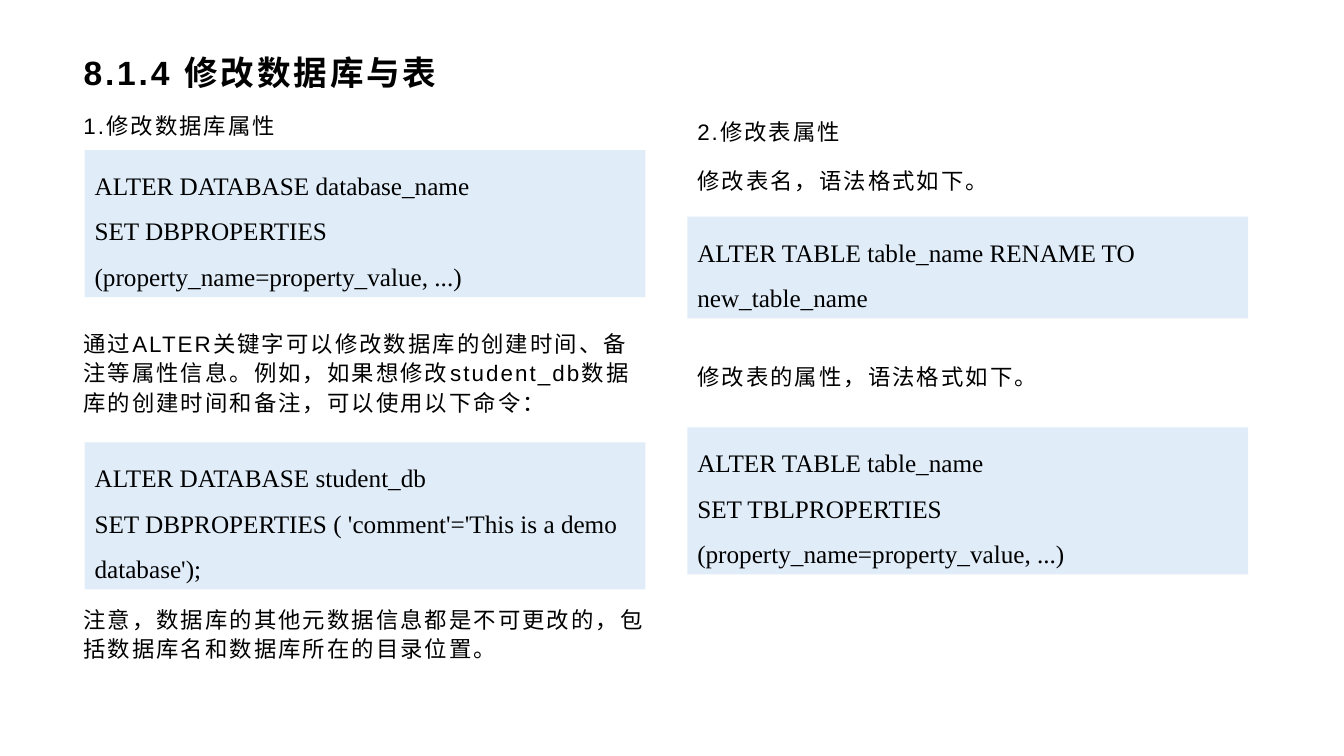
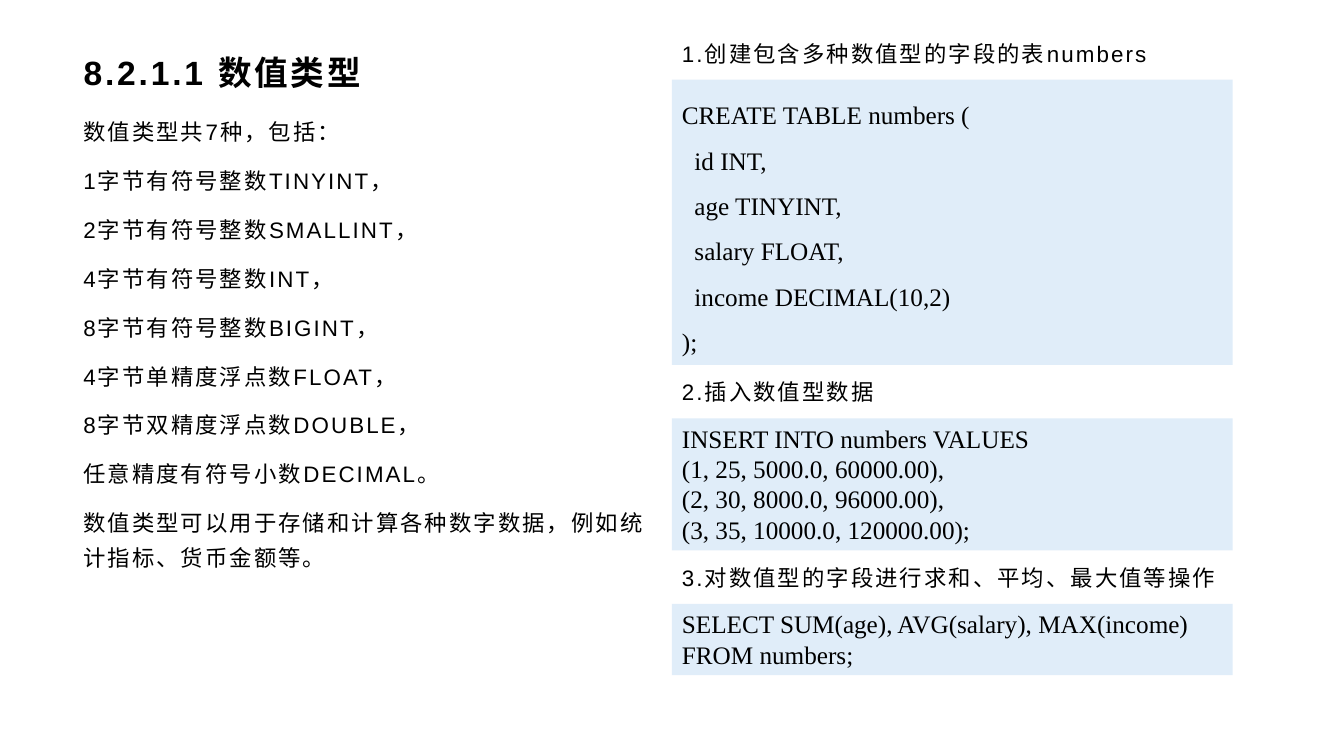
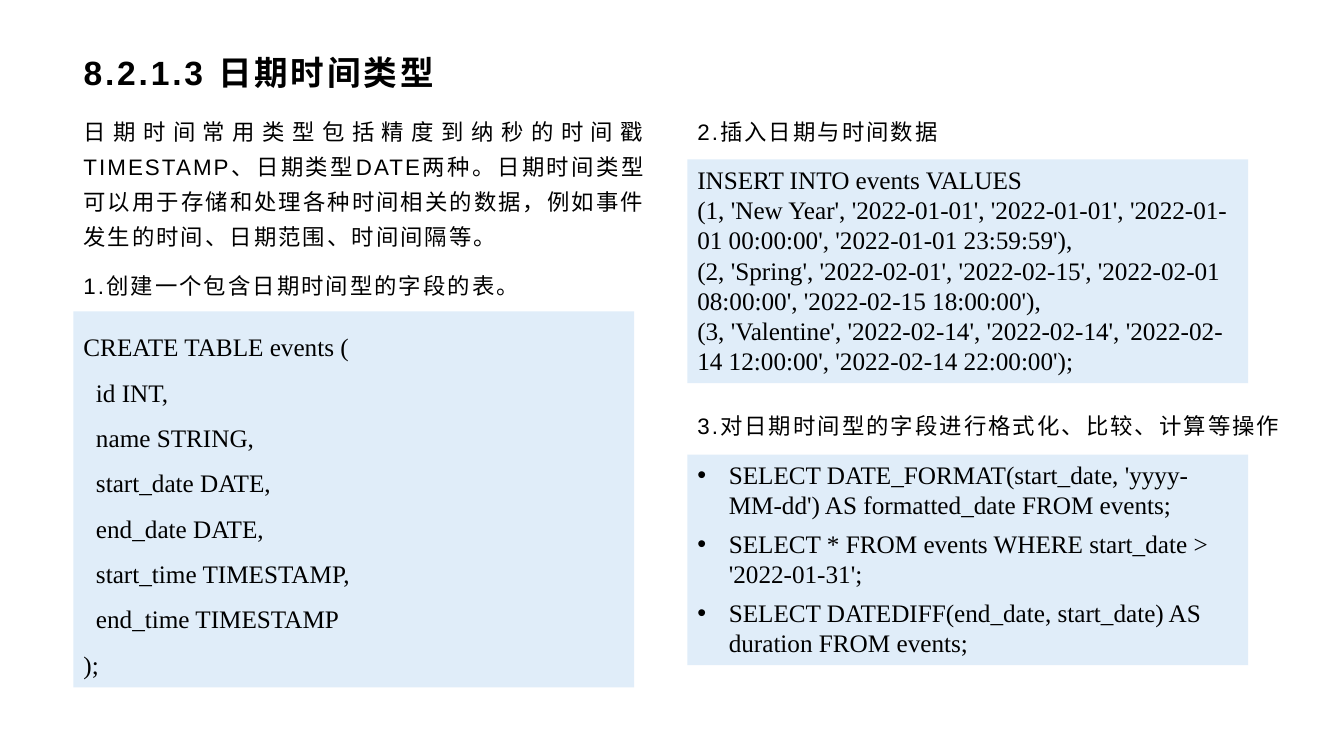
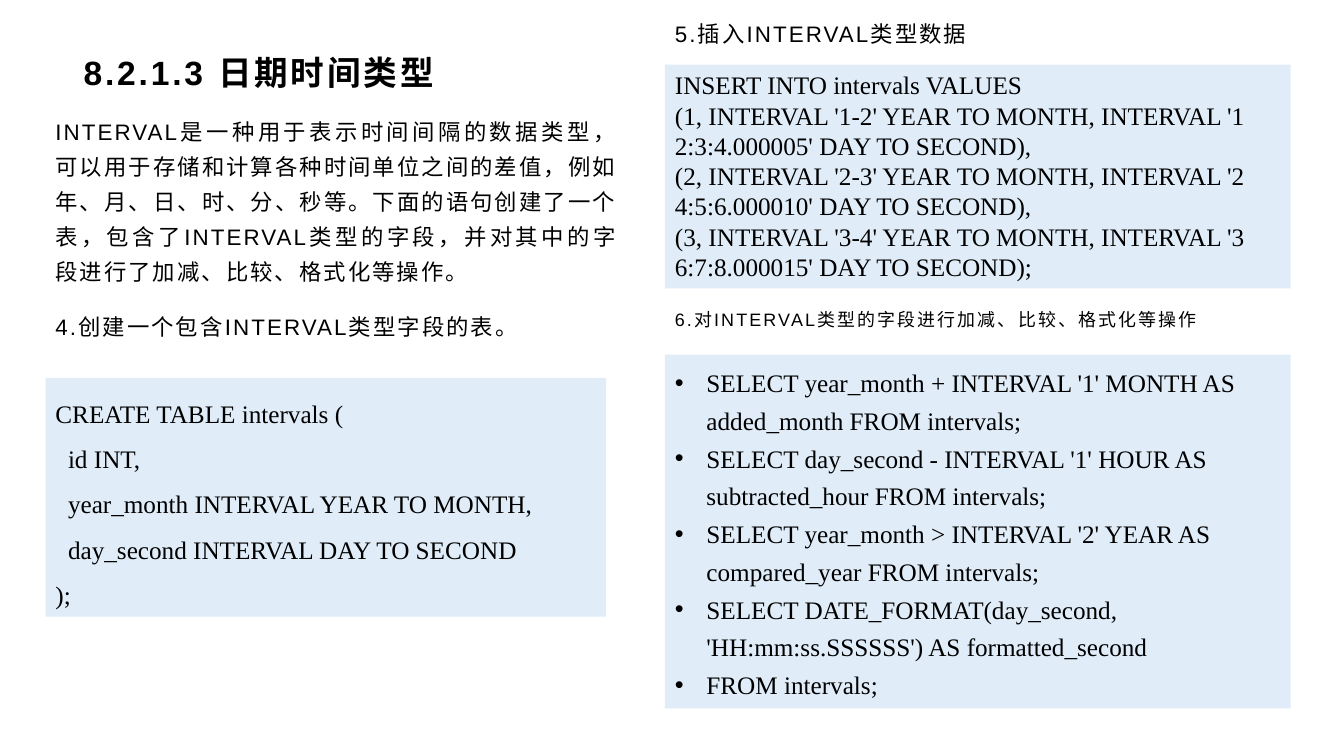
from dataclasses import dataclass

from lxml import etree
from pptx import Presentation
from pptx.dml.color import RGBColor
from pptx.enum.shapes import MSO_SHAPE
from pptx.enum.text import MSO_ANCHOR, MSO_AUTO_SIZE, PP_ALIGN
from pptx.oxml.ns import qn
from pptx.util import Pt

RECT = MSO_SHAPE.RECTANGLE
TOP, MIDDLE = MSO_ANCHOR.TOP, MSO_ANCHOR.MIDDLE
FIXED, GROW = MSO_AUTO_SIZE.NONE, MSO_AUTO_SIZE.SHAPE_TO_FIT_TEXT
LEFT, JUSTIFY = PP_ALIGN.LEFT, PP_ALIGN.JUSTIFY

COLORS = {"ink": "000000", "code": "E0EDF9", "page": "FFFFFF"}
SANS, SERIF = "Arial", "Times New Roman"

# Shared grid, in points
EDGE, HALF = 52.5, 491
HEAD_TOP, HEAD_WIDE, HEAD_HIGH = 34.5, 854.5, 34.5
BODY_TOP, BODY_HIGH = 75, 424
NOTE_WIDE, CODE_WIDE = 416, 400.5
INDENT = 22.5


@dataclass
class Note:
    """Plain text; gaps holds the space before each paragraph."""
    left: float
    top: float
    high: float
    text: str
    wide: float = NOTE_WIDE
    ratio: float = 1.3
    size: float = 16
    align: PP_ALIGN = LEFT
    gaps: tuple[float, ...] = ()


@dataclass
class Code:
    """Commands on a tinted panel."""
    left: float
    top: float
    high: float
    text: str
    wide: float = CODE_WIDE
    ratio: float = 1.5
    after: float = 0
    bullet: bool = False


@dataclass
class Page:
    title: str
    blocks: list[Note | Code]


PAGES = [
    Page("8.1.4 修改数据库与表", [
        Note(EDGE, BODY_TOP, BODY_HIGH,
             "1.修改数据库属性\n"
             "通过ALTER关键字可以修改数据库的创建时间、备注等属性信息。例如，如果想修改"
             "student_db数据库的创建时间和备注，可以使用以下命令：\n"
             "注意，数据库的其他元数据信息都是不可更改的，包括数据库名和数据库所在的目录位置。",
             ratio=1.1, gaps=(0, 124, 124)),
        Note(HALF, BODY_TOP, BODY_HIGH,
             "2.修改表属性\n修改表名，语法格式如下。\n修改表的属性，语法格式如下。",
             gaps=(0, 0, 105)),
        Code(60.5, 316, 105,
             "ALTER DATABASE student_db\n"
             "SET DBPROPERTIES ( 'comment'='This is a demo database');"),
        Code(60.5, 107.2, 105,
             "ALTER DATABASE database_name\n"
             "SET DBPROPERTIES (property_name=property_value, ...)"),
        Code(HALF, 154.8, 72.7, "ALTER TABLE table_name RENAME TO new_table_name"),
        Code(HALF, 305.3, 105,
             "ALTER TABLE table_name\n"
             "SET TBLPROPERTIES (property_name=property_value, ...)"),
    ]),
    Page("8.2.1.1 数值类型", [
        Note(EDGE, BODY_TOP, BODY_HIGH,
             "数值类型共7种，包括：\n"
             "1字节有符号整数TINYINT，\n"
             "2字节有符号整数SMALLINT，\n"
             "4字节有符号整数INT，\n"
             "8字节有符号整数BIGINT，\n"
             "4字节单精度浮点数FLOAT，\n"
             "8字节双精度浮点数DOUBLE，\n"
             "任意精度有符号小数DECIMAL。\n"
             "数值类型可以用于存储和计算各种数字数据，例如统计指标、货币金额等。"),
        Note(480, 19.4, 36.7, "1.创建包含多种数值型的字段的表numbers"),
        Note(480, 260.6, 36.7, "2.插入数值型数据"),
        Note(480, 393.8, 36.7, "3.对数值型的字段进行求和、平均、最大值等操作"),
        Code(480, 56.9, 203.8,
             "CREATE TABLE numbers (\n"
             "  id INT,\n"
             "  age TINYINT,\n"
             "  salary FLOAT,\n"
             "  income DECIMAL(10,2)\n"
             ");"),
        Code(480, 298.8, 94.3,
             "INSERT INTO numbers VALUES\n"
             "(1, 25, 5000.0, 60000.00),\n"
             "(2, 30, 8000.0, 96000.00),\n"
             "(3, 35, 10000.0, 120000.00);", ratio=1),
        Code(480, 431.3, 51,
             "SELECT SUM(age), AVG(salary), MAX(income) FROM numbers;", ratio=1),
    ]),
    Page("8.2.1.3 日期时间类型", [
        Note(EDGE, BODY_TOP, BODY_HIGH,
             "日期时间常用类型包括精度到纳秒的时间戳TIMESTAMP、日期类型DATE两种。"
             "日期时间类型可以用于存储和处理各种时间相关的数据，"
             "例如事件发生的时间、日期范围、时间间隔等。\n"
             "1.创建一个包含日期时间型的字段的表。", align=JUSTIFY),
        Note(HALF, BODY_TOP, BODY_HIGH,
             "2.插入日期与时间数据\n3.对日期时间型的字段进行格式化、比较、计算等操作",
             wide=456, gaps=(0, 175)),
        Code(EDGE, 222.5, 268.6,
             "CREATE TABLE events (\n"
             "  id INT,\n"
             "  name STRING,\n"
             "  start_date DATE,\n"
             "  end_date DATE,\n"
             "  start_time TIMESTAMP,\n"
             "  end_time TIMESTAMP\n"
             ");"),
        Code(HALF, 113.8, 159.8,
             "INSERT INTO events VALUES\n"
             "(1, 'New Year', '2022-01-01', '2022-01-01', "
             "'2022-01-01 00:00:00', '2022-01-01 23:59:59'),\n"
             "(2, 'Spring', '2022-02-01', '2022-02-15', "
             "'2022-02-01 08:00:00', '2022-02-15 18:00:00'),\n"
             "(3, 'Valentine', '2022-02-14', '2022-02-14', "
             "'2022-02-14 12:00:00', '2022-02-14 22:00:00');", ratio=1),
        Code(HALF, 324.7, 150.5,
             "SELECT DATE_FORMAT(start_date, 'yyyy-MM-dd') AS formatted_date FROM events;\n"
             "SELECT * FROM events WHERE start_date > '2022-01-31';\n"
             "SELECT DATEDIFF(end_date, start_date) AS duration FROM events;",
             ratio=1, after=6, bullet=True),
    ]),
    Page("8.2.1.3 日期时间类型", [
        Note(32.5, BODY_TOP, BODY_HIGH,
             "INTERVAL是一种用于表示时间间隔的数据类型，可以用于存储和计算各种时间单位之间的差值，"
             "例如年、月、日、时、分、秒等。下面的语句创建了一个表，包含了INTERVAL类型的字段，"
             "并对其中的字段进行了加减、比较、格式化等操作。", align=JUSTIFY),
        Note(475, 5, 35.3, "5.插入INTERVAL类型数据"),
        Note(32.5, 218.2, 29.5, "4.创建一个包含INTERVAL类型字段的表。",
             wide=CODE_WIDE, ratio=1.1),
        Code(32.5, 270, 170.6,
             "CREATE TABLE intervals (\n"
             "  id INT,\n"
             "  year_month INTERVAL YEAR TO MONTH,\n"
             "  day_second INTERVAL DAY TO SECOND\n"
             ");"),
        Note(475, 212.4, 35.3, "6.对INTERVAL类型的字段进行加减、比较、格式化等操作",
             size=12.8),
        Code(475, 46.2, 159.8,
             "INSERT INTO intervals VALUES\n"
             "(1, INTERVAL '1-2' YEAR TO MONTH, INTERVAL '1 2:3:4.000005' DAY TO SECOND),\n"
             "(2, INTERVAL '2-3' YEAR TO MONTH, INTERVAL '2 4:5:6.000010' DAY TO SECOND),\n"
             "(3, INTERVAL '3-4' YEAR TO MONTH, INTERVAL '3 6:7:8.000015' DAY TO SECOND);",
             wide=447, ratio=1),
        Code(475, 253.4, 252.7,
             "SELECT year_month + INTERVAL '1' MONTH AS added_month FROM intervals;\n"
             "SELECT day_second - INTERVAL '1' HOUR AS subtracted_hour FROM intervals;\n"
             "SELECT year_month > INTERVAL '2' YEAR AS compared_year FROM intervals;\n"
             "SELECT DATE_FORMAT(day_second, 'HH:mm:ss.SSSSSS') AS formatted_second\n"
             "FROM intervals;",
             wide=447, ratio=1.25, bullet=True),
    ]),
]


def color(name: str) -> RGBColor:
    return RGBColor.from_string(COLORS[name])


def style(para, face: str, size: float, track: float = 0, bold: bool = False) -> None:
    """Format the runs of a paragraph; track is the letter spacing."""
    for run in para.runs:
        font = run.font
        font.name, font.size, font.bold = face, Pt(size), bold
        font.color.rgb = color("ink")
        if track:
            run._r.get_or_add_rPr().set("spc", str(round(track * 100)))


def mark(para) -> None:
    """Give a paragraph a round bullet with a hanging indent."""
    props = para._p.get_or_add_pPr()
    props.set("marL", str(Pt(INDENT)))
    props.set("indent", str(-Pt(INDENT)))
    etree.SubElement(props, qn("a:buFont")).set("typeface", SANS)
    etree.SubElement(props, qn("a:buChar")).set("char", "•")


def setup(frame, text: str, fit: MSO_AUTO_SIZE, anchor: MSO_ANCHOR = TOP) -> None:
    frame.text = text
    frame.word_wrap = True
    frame.auto_size = fit
    frame.vertical_anchor = anchor


def area(block: Note | Code) -> list[Pt]:
    return [Pt(num) for num in (block.left, block.top, block.wide, block.high)]


def add_head(slide, text: str) -> None:
    head = slide.shapes.title
    head.left, head.top = Pt(EDGE), Pt(HEAD_TOP)
    head.width, head.height = Pt(HEAD_WIDE), Pt(HEAD_HIGH)
    setup(head.text_frame, text, FIXED, MIDDLE)
    para = head.text_frame.paragraphs[0]
    para.alignment = LEFT
    style(para, SANS, 24, track=2, bold=True)


def add_note(slide, note: Note) -> None:
    frame = slide.shapes.add_textbox(*area(note)).text_frame
    setup(frame, note.text, FIXED)
    for para in frame.paragraphs:
        para.alignment = note.align
        para.line_spacing = note.ratio
        para.space_after = Pt(10)
        style(para, SANS, note.size, track=1.5)
    for para, gap in zip(frame.paragraphs, note.gaps):
        para.space_before = Pt(gap)


def add_code(slide, code: Code) -> None:
    panel = slide.shapes.add_shape(RECT, *area(code))
    panel.shadow.inherit = False
    panel.fill.solid()
    panel.fill.fore_color.rgb = color("code")
    panel.line.fill.background()
    setup(panel.text_frame, code.text, GROW)
    for para in panel.text_frame.paragraphs:
        para.alignment = LEFT
        para.line_spacing = code.ratio
        para.space_after = Pt(code.after)
        if code.bullet:
            mark(para)
        style(para, SERIF, 18)


def main() -> None:
    deck = Presentation()
    deck.slide_width, deck.slide_height = Pt(960), Pt(540)
    fill = deck.slide_master.background.fill
    fill.solid()
    fill.fore_color.rgb = color("page")
    for page in PAGES:
        slide = deck.slides.add_slide(deck.slide_layouts[5])
        add_head(slide, page.title)
        for block in page.blocks:
            if isinstance(block, Note):
                add_note(slide, block)
            else:
                add_code(slide, block)
    deck.save("out.pptx")


if __name__ == "__main__":
    main()
